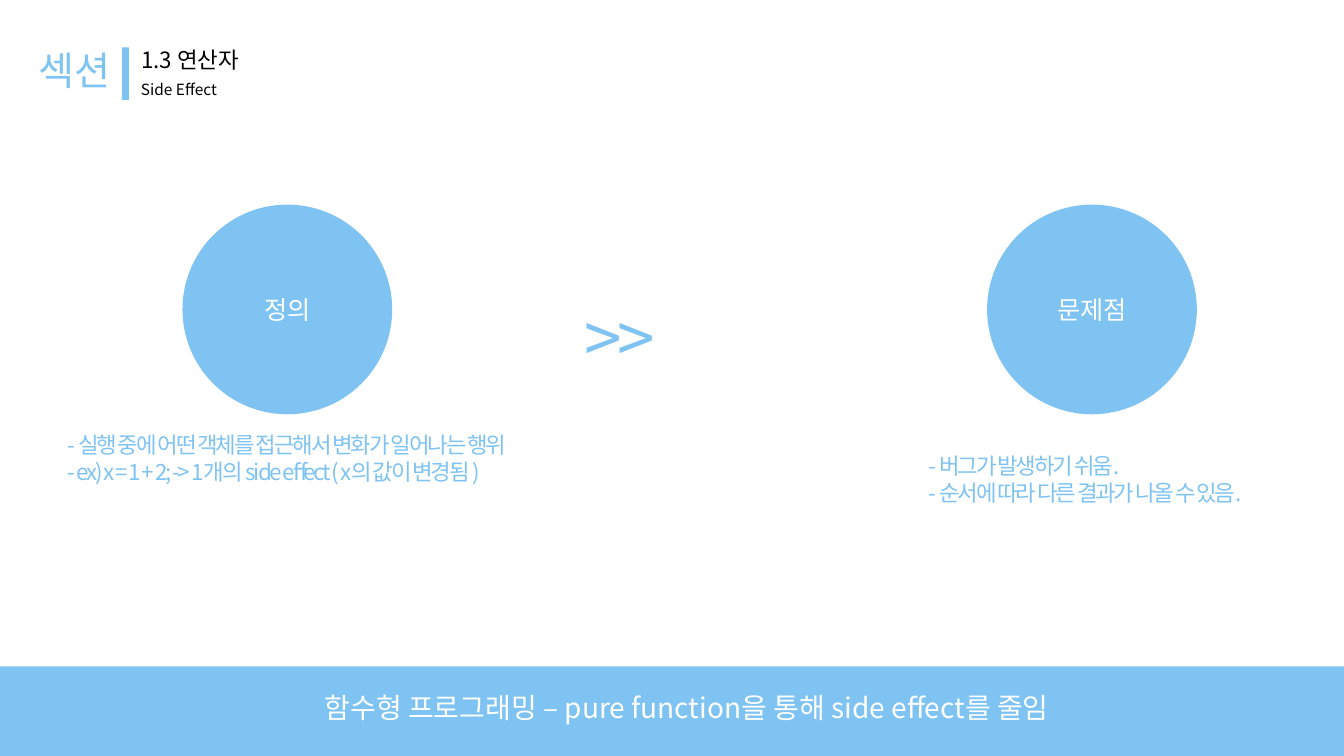
"""Build the Side Effect slide: definition, problems and a closing band."""
from pptx import Presentation
from pptx.dml.color import RGBColor
from pptx.enum.shapes import MSO_SHAPE as SHAPE
from pptx.enum.text import MSO_ANCHOR as ANCHOR, MSO_AUTO_SIZE as AUTO, PP_ALIGN as ALIGN
from pptx.oxml.ns import qn
from pptx.util import Inches, Pt
from lxml import etree

FONT = "Noto Sans CJK KR"
COLORS = {"sky": "7FC3F2", "white": "FFFFFF", "black": "000000"}


def write(sp, lines, size, color, align=ALIGN.LEFT, anchor=ANCHOR.TOP, wrap=True, spc=0):
    tf = sp.text_frame
    tf.word_wrap = wrap
    tf.vertical_anchor = anchor
    for i, line in enumerate(lines):
        p = tf.add_paragraph() if i else tf.paragraphs[0]
        p.alignment = align
        p.space_before = Pt(0)
        pPr = p._p.get_or_add_pPr()
        pPr.set("marL", "0")
        pPr.set("indent", "0")
        etree.SubElement(pPr, qn("a:buNone"))
        r = p.add_run()
        r.text = line
        r.font.size = Pt(size)
        r.font.name = FONT
        r.font.color.rgb = RGBColor.from_string(COLORS[color])
        rPr = r._r.get_or_add_rPr()
        etree.SubElement(rPr, qn("a:ea")).set("typeface", FONT)
        if spc:
            rPr.set("spc", str(int(spc * 100)))


def add_block(kind, x, y, w, h):
    sp = s.shapes.add_shape(kind, Inches(x), Inches(y), Inches(w), Inches(h))
    sp.shadow.inherit = False
    sp.fill.solid()
    sp.fill.fore_color.rgb = RGBColor.from_string(COLORS["sky"])
    sp.line.fill.background()
    return sp


prs = Presentation()
prs.slide_width, prs.slide_height = Inches(13.33), Inches(7.5)
s = prs.slides.add_slide(prs.slide_layouts[3])
for sp in list(s.placeholders):
    if sp.placeholder_format.idx > 2:
        sp._element.getparent().remove(sp._element)

title = s.shapes.title
title.left, title.top, title.width, title.height = map(Inches, (1.3, 0.41, 1.24, 0.37))
title.text_frame.auto_size = AUTO.SHAPE_TO_FIT_TEXT
write(title, ["1.3 연산자"], 16, "black", wrap=False)

add_block(SHAPE.RECTANGLE, 1.21, 0.47, 0.07, 0.52)
add_block(SHAPE.RECTANGLE, 0, 6.61, 13.33, 0.89)

topics = [
    (1, "정의", 1.81, (0.57, 4.23, 4.76, 0.91), ALIGN.LEFT,
     ["- 실행 중에 어떤 객체를 접근해서 변화가 일어나는 행위",
      "- ex) x = 1 + 2; -> 1개의 side effect ( x의 값이 변경됨 )"]),
    (2, "문제점", 9.79, (9.11, 4.44, 3.44, 0.64), ALIGN.JUSTIFY,
     ["- 버그가 발생하기 쉬움.",
      "- 순서에 따라 다른 결과가 나올 수 있음."]),
]
for idx, name, x, box, align, points in topics:
    circle = add_block(SHAPE.OVAL, x, 2.03, 2.08, 2.08)
    write(circle, [name], 18, "white", ALIGN.CENTER, ANCHOR.MIDDLE)
    body = s.placeholders[idx]
    body.left, body.top, body.width, body.height = map(Inches, box)
    body.text_frame.auto_size = AUTO.SHAPE_TO_FIT_TEXT
    write(body, points, 16, "sky", align, wrap=False, spc=-1.5)

labels = [
    ("섹션", (0.28, 0.41, 0.94, 0.57), 28, "sky", ALIGN.LEFT, False, 0),
    ("Side Effect", (1.3, 0.75, 2.26, 0.29), 11, "black", ALIGN.LEFT, True, 0),
    (">>", (5.7, 2.89, 1.16, 0.91), 48, "sky", ALIGN.LEFT, True, -3),
    ("함수형 프로그래밍 – pure function을 통해 side effect를 줄임",
     (2.9, 6.8, 7.82, 0.44), 20, "white", ALIGN.CENTER, False, 0),
]
for text, box, size, color, align, wrap, spc in labels:
    tb = s.shapes.add_textbox(*map(Inches, box))
    tb.text_frame.auto_size = AUTO.SHAPE_TO_FIT_TEXT
    write(tb, [text], size, color, align, wrap=wrap, spc=spc)

prs.save("out.pptx")
